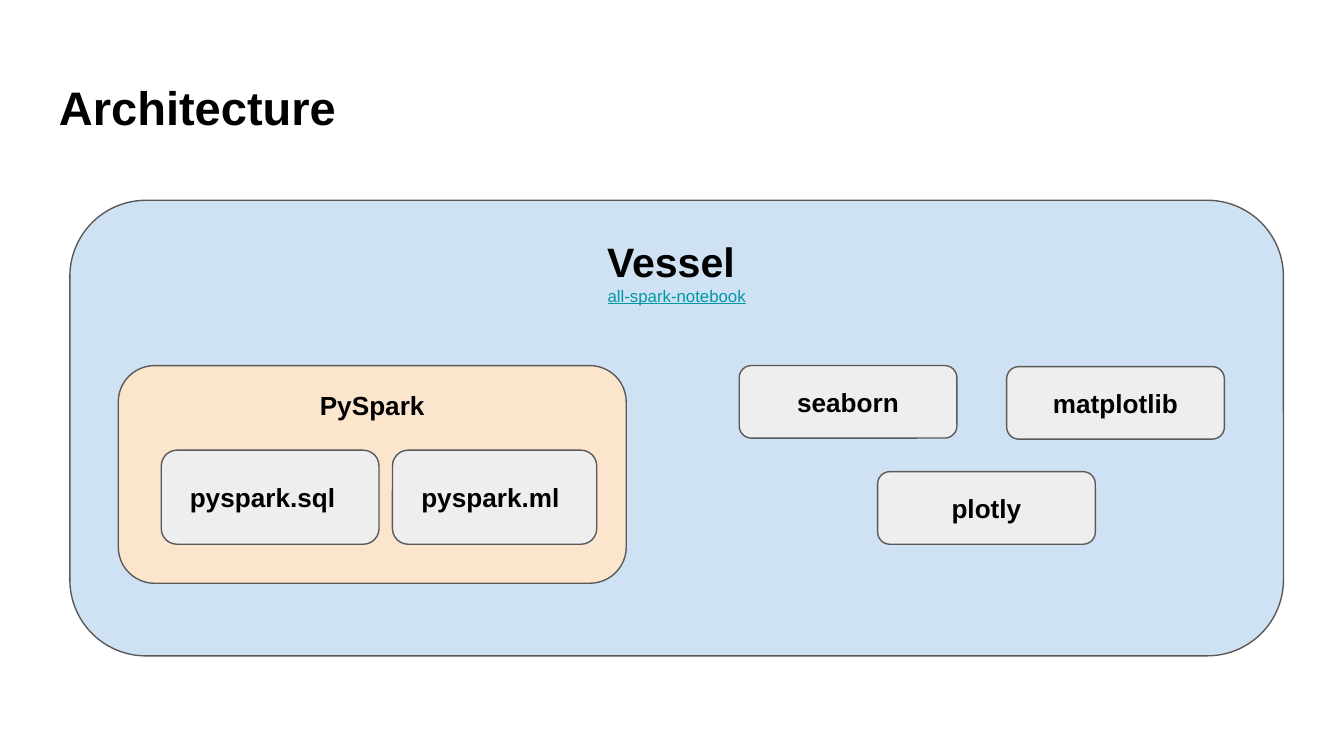
import pptx
import pptx.util
import pptx.dml.color
import pptx.enum.shapes
import pptx.enum.text

Inches, Pt = pptx.util.Inches, pptx.util.Pt
RGBColor = pptx.dml.color.RGBColor
ALIGN = pptx.enum.text.PP_ALIGN
ANCHOR = pptx.enum.text.MSO_ANCHOR

WIDTH = 10
HEIGHT = WIDTH * 9 / 16
BLACK = RGBColor(0x00, 0x00, 0x00)
BLUE = RGBColor(0xCF, 0xE2, 0xF3)
PEACH = RGBColor(0xFC, 0xE5, 0xCD)
GREY = RGBColor(0xEE, 0xEE, 0xEE)
OUTLINE = RGBColor(0x59, 0x59, 0x59)
TEAL = RGBColor(0x00, 0x97, 0xA7)

# Content
TITLE = "Architecture"
HOST = "Vessel "
HOST_IMAGE = "all-spark-notebook"
ENGINE = "PySpark"
# text, left, width, extra right inset that nudges the text left
MODULES = [("pyspark.sql", 1.2, 1.62, 0.11), ("pyspark.ml", 2.92, 1.52, 0.06)]
# text, left, row
CHARTING = [("seaborn", 5.5, 0), ("matplotlib", 7.49, 0.01), ("plotly", 6.53, 1)]

# Layout
INSET = 0.1
CORNER = 0.167
TITLE_BOX = (0.34, 0.48, 9.32, 0.63)
HOST_BOX = (0.52, 1.49, 9.03, 3.39)
ENGINE_BOX = (0.88, 2.72, 3.78, 1.62)
MODULE_TOP, MODULE_HEIGHT = 3.35, 0.7
CHARTING_TOP, CHARTING_PITCH = 2.72, 0.79
CHARTING_WIDTH, CHARTING_HEIGHT = 1.62, 0.54

HEADING = {"name": "Arial", "bold": True}
LINK = {"name": "Arial", "bold": False, "underline": True}


def write(paragraph, text, size, style, color=BLACK, align=ALIGN.CENTER):
    paragraph.alignment = align
    run = paragraph.add_run()
    run.text = text
    for key, value in style.items():
        setattr(run.font, key, value)
    run.font.size = Pt(size)
    run.font.color.rgb = color


def set_frame(frame, anchor, extra_right=0):
    settings = {
        "word_wrap": True,
        "vertical_anchor": anchor,
        "margin_left": Inches(INSET),
        "margin_top": Inches(INSET),
        "margin_right": Inches(INSET + extra_right),
        "margin_bottom": Inches(INSET),
    }
    for key, value in settings.items():
        setattr(frame, key, value)


def add_box(slide, bounds, fill, text, size=14, anchor=ANCHOR.MIDDLE, extra_right=0):
    box = slide.shapes.add_shape(
        pptx.enum.shapes.MSO_SHAPE.ROUNDED_RECTANGLE, *map(Inches, bounds))
    box.adjustments[0] = CORNER
    box.shadow.inherit = False
    box.fill.solid()
    box.fill.fore_color.rgb = fill
    box.line.color.rgb = OUTLINE
    box.line.width = Pt(0.75)
    set_frame(box.text_frame, anchor, extra_right)
    write(box.text_frame.paragraphs[0], text, size, HEADING)
    return box


def main():
    deck = pptx.Presentation()
    deck.slide_width, deck.slide_height = Inches(WIDTH), Inches(HEIGHT)
    slide = deck.slides.add_slide(deck.slide_layouts[6])

    # Container host with its image name
    host = add_box(slide, HOST_BOX, BLUE, HOST, 22, ANCHOR.TOP)
    write(host.text_frame.add_paragraph(), HOST_IMAGE, 9, LINK, TEAL)

    # Title
    title = slide.shapes.add_textbox(*map(Inches, TITLE_BOX))
    set_frame(title.text_frame, ANCHOR.MIDDLE)
    write(title.text_frame.paragraphs[0], TITLE, 25.2, HEADING, align=ALIGN.LEFT)

    # Engine and its modules
    add_box(slide, ENGINE_BOX, PEACH, ENGINE, anchor=ANCHOR.TOP)
    for text, left, width, nudge in MODULES:
        bounds = (left, MODULE_TOP, width, MODULE_HEIGHT)
        add_box(slide, bounds, GREY, text, extra_right=nudge)

    # Charting libraries
    for text, left, row in CHARTING:
        top = CHARTING_TOP + row * CHARTING_PITCH
        bounds = (left, top, CHARTING_WIDTH, CHARTING_HEIGHT)
        add_box(slide, bounds, GREY, text)

    deck.save("out.pptx")


if __name__ == "__main__":
    main()
